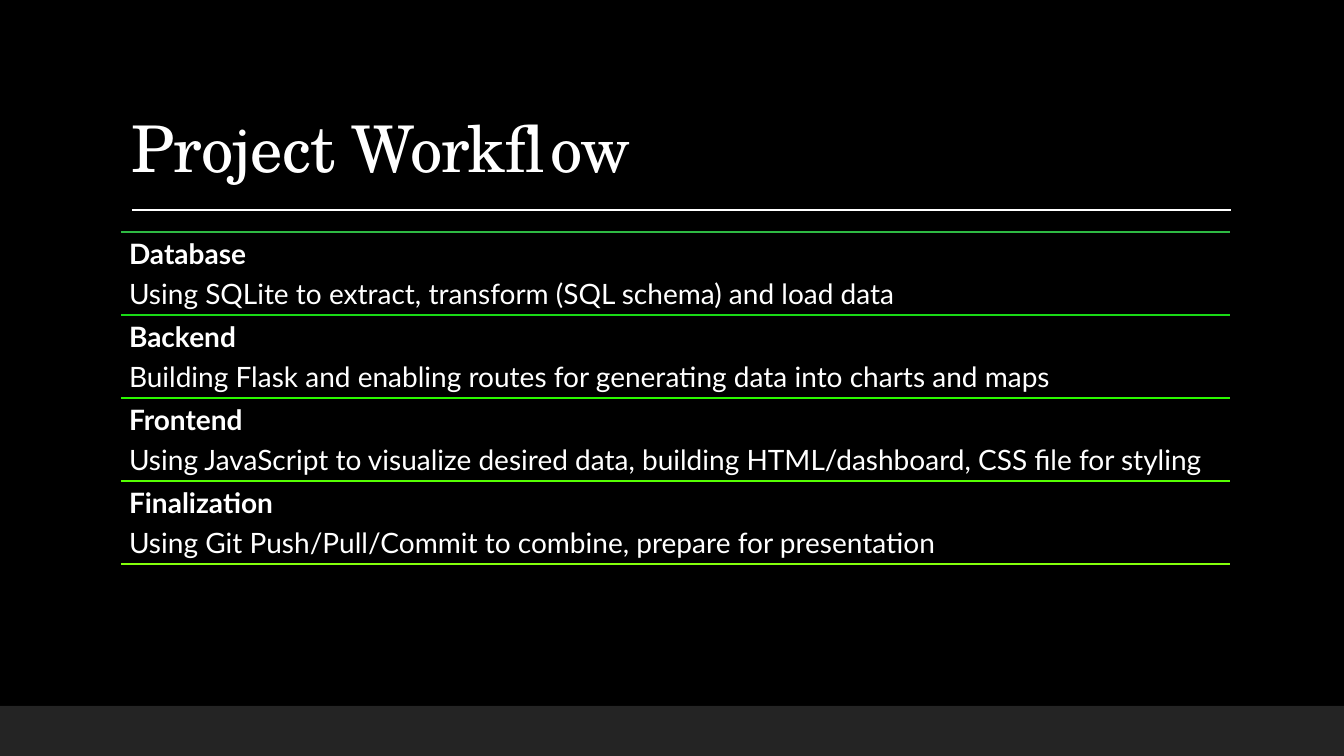
from pptx import Presentation
from pptx import util as u
from pptx.dml.color import RGBColor
from pptx.enum import shapes, text
from pptx.oxml import ns
from lxml import etree

HEADLINE = "Project Workflow"
STAGES = [
    ("Database", "Using SQLite to extract, transform (SQL schema) and load data", "2EBA43"),
    ("Backend", "Building Flask and enabling routes for generating data into charts and maps", "19DA16"),
    ("Frontend", "Using JavaScript to visualize desired data, building HTML/dashboard, CSS file for styling", "2BF900"),
    ("Finalization", "Using Git Push/Pull/Commit to combine, prepare for presentation", "56FF02"),
]
CLOSING_RULE = "83FF0B"

THEME = {
    "background": "000000",
    "ink": "FFFFFF",
    "band": "262626",
    "band_alpha": 95,
    "headline": {"name": "TeX Gyre Schola", "size": u.Pt(46), "bold": False},
    "stage": {"name": "Lato", "size": u.Pt(20), "bold": True},
    "detail": {"name": "Lato", "size": u.Pt(20), "bold": False},
    "paragraph": {"line_spacing": 0.9, "alignment": text.PP_ALIGN.LEFT},
    "stage_gap": u.Pt(7.3),
    "thin": u.Pt(1),
    "rule": u.Pt(1.25),
}

WIDTH, HEIGHT = 1344, 756
LEFT, CONTENT_WIDTH = 121, 1109
HEADLINE_TOP, HEADLINE_HEIGHT = 31, 160
UNDERLINE_LEFT, UNDERLINE_RIGHT, UNDERLINE_Y = 132, 1231, 210
STAGES_TOP, STAGE_HEIGHT = 232, 83
BAND_TOP = 706
INSET = 8


def px(length):
    return round(length * 914400 / 100.8)


def apply(target, values):
    for name, value in values.items():
        setattr(target, name, value)


def write(paragraph, words, style):
    apply(paragraph, THEME["paragraph"])
    run = paragraph.add_run()
    run.text = words
    apply(run.font, THEME[style])
    run.font.color.rgb = RGBColor.from_string(THEME["ink"])
    return run


def draw_rule(parent, left, right, y, color, width):
    rule = parent.add_connector(
        shapes.MSO_CONNECTOR.STRAIGHT, px(left), px(y), px(right), px(y))
    rule.line.color.rgb = RGBColor.from_string(color)
    rule.line.width = width
    etree.SubElement(rule._element.spPr, ns.qn("a:effectLst"))


def draw_headline(slide):
    title = slide.shapes.title
    apply(title, {"left": px(LEFT), "top": px(HEADLINE_TOP),
                  "width": px(CONTENT_WIDTH), "height": px(HEADLINE_HEIGHT)})
    apply(title.text_frame, {"vertical_anchor": text.MSO_ANCHOR.BOTTOM,
                             "auto_size": text.MSO_AUTO_SIZE.NONE,
                             "word_wrap": True})
    run = write(title.text_frame.paragraphs[0], HEADLINE, "headline")
    run._r.get_or_add_rPr().set("spc", "-50")
    draw_rule(slide.shapes, UNDERLINE_LEFT, UNDERLINE_RIGHT, UNDERLINE_Y,
              THEME["ink"], THEME["thin"])


def draw_band(slide):
    band = slide.shapes.add_shape(
        shapes.MSO_SHAPE.RECTANGLE, 0, px(BAND_TOP), px(WIDTH), px(HEIGHT - BAND_TOP))
    band.shadow.inherit = False
    band.fill.solid()
    band.fill.fore_color.rgb = RGBColor.from_string(THEME["band"])
    band.line.fill.background()
    color = band._element.spPr.find(ns.qn("a:solidFill"))[0]
    etree.SubElement(color, ns.qn("a:alpha")).set("val", str(THEME["band_alpha"] * 1000))


def draw_stages(slide):
    workflow = slide.shapes.add_group_shape().shapes
    right = LEFT + CONTENT_WIDTH
    for index, (stage, detail, color) in enumerate(STAGES):
        top = STAGES_TOP + index * STAGE_HEIGHT
        draw_rule(workflow, LEFT, right, top, color, THEME["rule"])
        entry = workflow.add_textbox(
            px(LEFT), px(top), px(CONTENT_WIDTH), px(STAGE_HEIGHT)).text_frame
        apply(entry, {"word_wrap": True, "vertical_anchor": text.MSO_ANCHOR.TOP})
        apply(entry, {f"margin_{side}": px(INSET)
                      for side in ("left", "top", "right", "bottom")})
        write(entry.paragraphs[0], stage, "stage")
        entry.paragraphs[0].space_after = THEME["stage_gap"]
        write(entry.add_paragraph(), detail, "detail")
    bottom = STAGES_TOP + len(STAGES) * STAGE_HEIGHT
    draw_rule(workflow, LEFT, right, bottom, CLOSING_RULE, THEME["rule"])


def main():
    deck = Presentation()
    deck.slide_width, deck.slide_height = px(WIDTH), px(HEIGHT)
    slide = deck.slides.add_slide(deck.slide_layouts[5])
    slide.background.fill.solid()
    slide.background.fill.fore_color.rgb = RGBColor.from_string(THEME["background"])
    draw_headline(slide)
    draw_band(slide)
    draw_stages(slide)
    deck.save("out.pptx")


if __name__ == "__main__":
    main()
